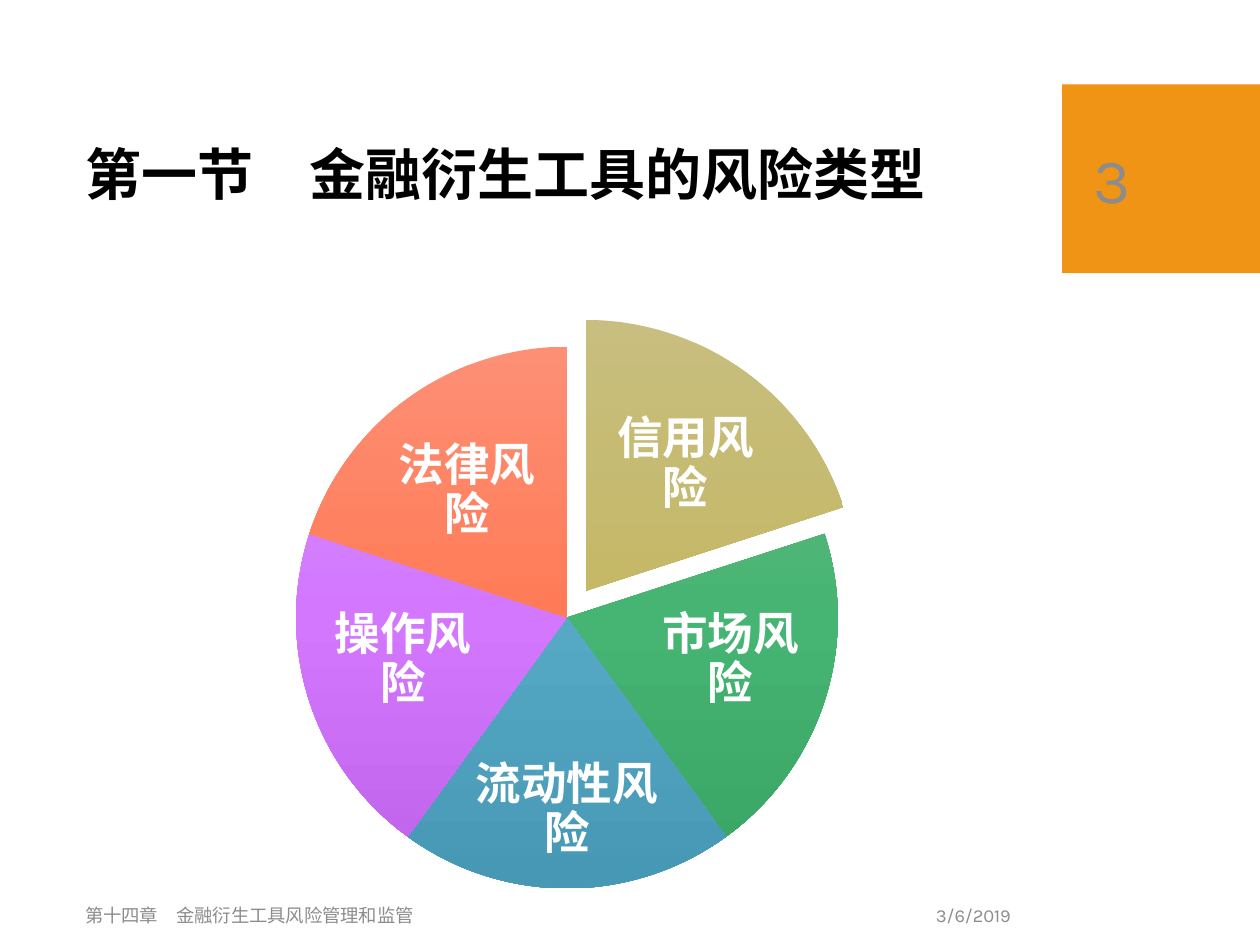
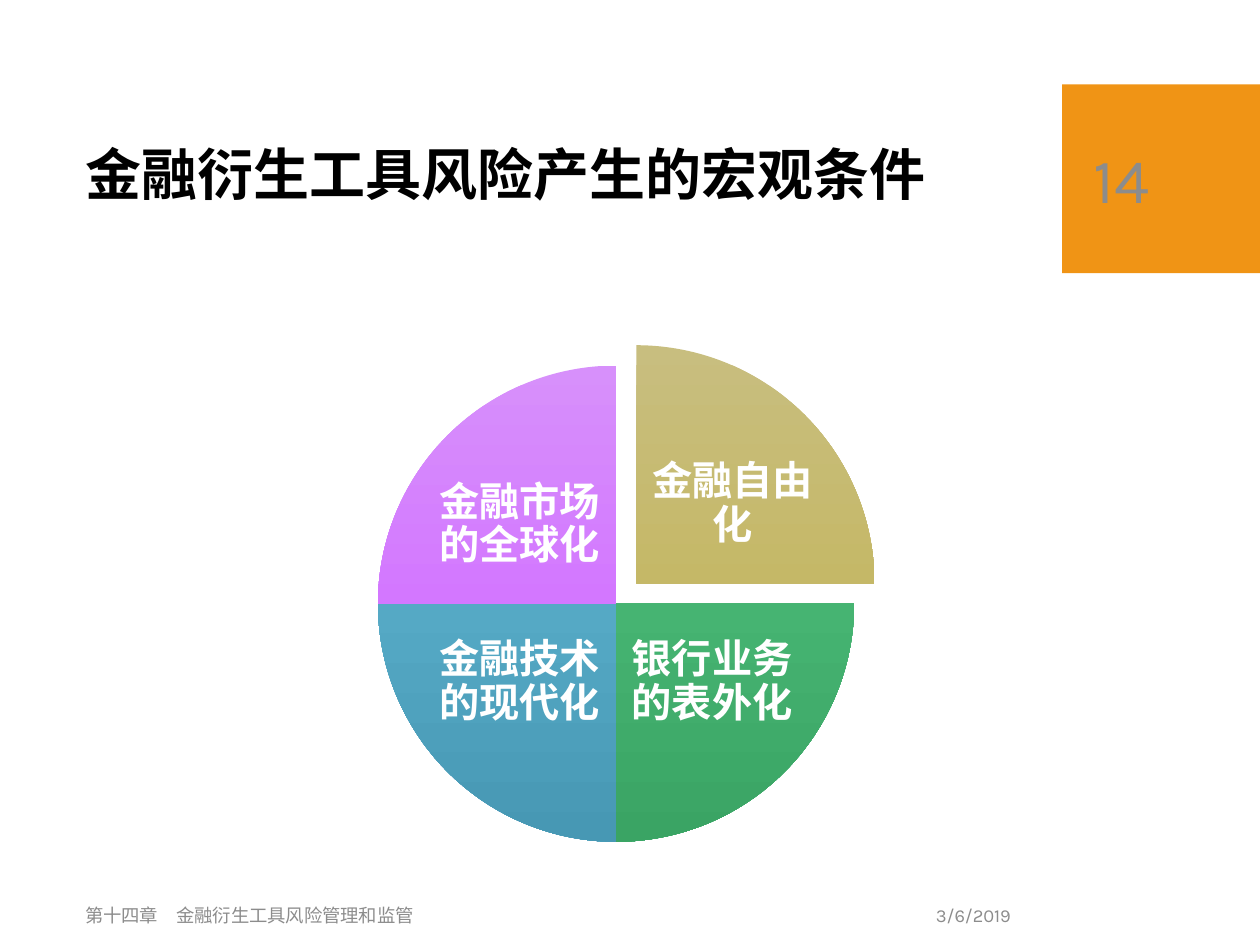
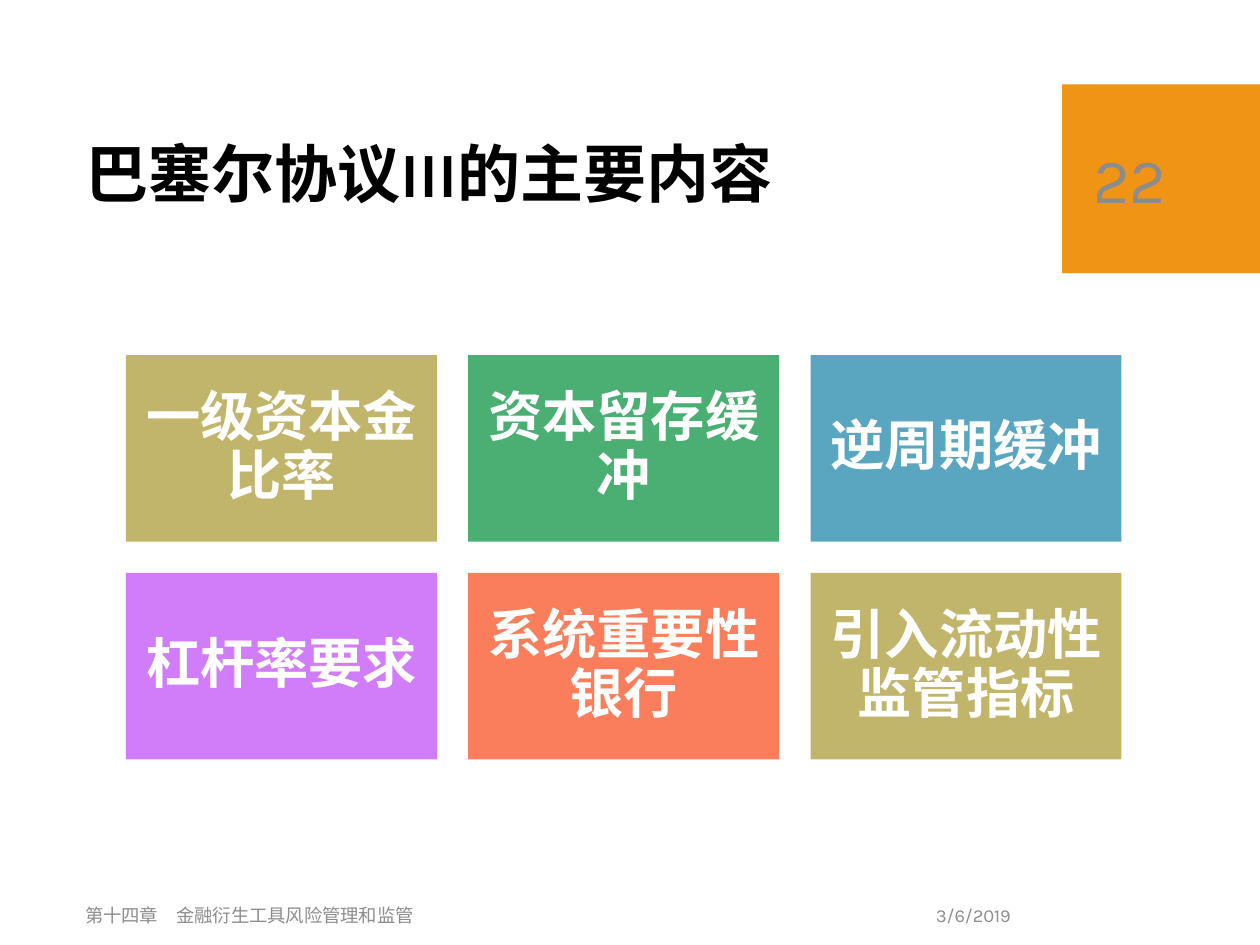
from copy import deepcopy

from pptx import Presentation
from pptx.dml.color import RGBColor
from pptx.enum.shapes import MSO_SHAPE as Shape
from pptx.enum.text import MSO_ANCHOR as Anchor, PP_ALIGN as Align
from pptx.util import Cm, Pt

FONT = "Karla"
COLORS = {"band": "F09415", "title": "000000", "label": "FFFFFF", "muted": "8C8C8C"}
CARD_COLORS = ["C1B56B", "4BAF73", "5AA6C0", "D17DF9", "FA7E5C"]
SLICE_GRADIENTS = [
    ("C8BE7F", "C5B867", "B4A756"),
    ("67B884", "46B472", "3AA464"),
    ("71B0C8", "55A9C5", "4798B4"),
    ("D790FB", "D377FF", "BE62EA"),
    ("FD8F75", "FF7B57", "EE6742"),
]
FOOTER = "第十四章　金融衍生工具风险管理和监管"
DATE = "3/6/2019"

# Pie angles are adjustment units: 216 make a full turn, 162 is twelve o'clock
FULL_TURN, TOP = 216, 162


def rgb(color):
    return RGBColor.from_string(color)


def write(shape, text, size, color, bold=False, align=Align.LEFT, spacing=None, inset=None):
    frame = shape.text_frame
    frame.word_wrap = True
    frame.vertical_anchor = Anchor.MIDDLE
    if inset is not None:
        frame.margin_left = frame.margin_right = Cm(inset)
        frame.margin_top = frame.margin_bottom = Cm(inset)
    paragraph = frame.paragraphs[0]
    paragraph.alignment = align
    paragraph.line_spacing = spacing
    run = paragraph.add_run()
    run.text = text
    run.font.name = FONT
    run.font.size = Pt(size)
    run.font.bold = bold
    run.font.color.rgb = rgb(color)


def add_text(slide, box, text, size, color, **style):
    textbox = slide.shapes.add_textbox(*map(Cm, box))
    write(textbox, text, size, color, **style)


def add_plain_shape(slide, kind, box):
    shape = slide.shapes.add_shape(kind, *map(Cm, box))
    shape.shadow.inherit = False
    shape.line.fill.background()
    return shape


def add_rectangle(slide, box, color):
    shape = add_plain_shape(slide, Shape.RECTANGLE, box)
    shape.fill.solid()
    shape.fill.fore_color.rgb = rgb(color)
    return shape


def fill_gradient(shape, colors):
    """Fill from top to bottom with evenly spaced stops."""
    fill = shape.fill
    fill.gradient()
    fill.gradient_angle = 270
    stop_list = shape._element.spPr.find(".//{*}gsLst")
    stop_list.insert(1, deepcopy(stop_list[0]))
    for index, (stop, color) in enumerate(zip(fill.gradient_stops, colors)):
        stop.position = index / (len(colors) - 1)
        stop.color.rgb = rgb(color)


def add_base_slide(presentation, title, number, title_size=32):
    """Band, title, footer, date and slide number."""
    slide = presentation.slides.add_slide(presentation.slide_layouts[6])
    add_rectangle(slide, (21.41, 1.7, 3.99, 3.81), COLORS["band"])
    add_text(slide, (1.47, 2.08, 19.15, 3), title, title_size, COLORS["title"],
             bold=True, spacing=0.9)
    add_text(slide, (14.91, 17.93, 5.72, 1.02), DATE, 10.5, COLORS["muted"], align=Align.RIGHT)
    add_text(slide, (1.47, 17.93, 13.44, 1.02), FOOTER, 10.5, COLORS["muted"])
    add_text(slide, (21.79, 2.08, 3.23, 3.02), str(number), 36, COLORS["muted"])
    return slide


def add_pie(slide, left, top, diameter, pulled, slices, size, inset):
    """Equal slices clockwise from the top; the first is pulled out.

    Each slice is its text, the label's centre from the pie's centre,
    and the label's size.
    """
    step = FULL_TURN / len(slices)
    for index, (text, (dx, dy), (width, height)) in enumerate(slices):
        shift_x, shift_y = pulled if index == 0 else (0, 0)
        x, y = left + shift_x, top + shift_y
        slice_shape = add_plain_shape(slide, Shape.PIE, (x, y, diameter, diameter))
        slice_shape.adjustments[0] = (TOP + index * step) % FULL_TURN
        slice_shape.adjustments[1] = (TOP + (index + 1) * step) % FULL_TURN
        fill_gradient(slice_shape, SLICE_GRADIENTS[index])
        label_box = (x + diameter / 2 + dx - width / 2,
                     y + diameter / 2 + dy - height / 2, width, height)
        add_text(slide, label_box, text, size, COLORS["label"], bold=True,
                 align=Align.CENTER, spacing=0.9, inset=inset)


def add_cards(slide, left, top, width, height, texts, columns=3, gap=0.63):
    rows = -(-len(texts) // columns)
    card_width = (width - gap * (columns - 1)) / columns
    card_height = (height - gap * (rows - 1)) / rows
    for index, text in enumerate(texts):
        row, column = divmod(index, columns)
        box = (left + column * (card_width + gap), top + row * (card_height + gap),
               card_width, card_height)
        card = add_rectangle(slide, box, CARD_COLORS[index % len(CARD_COLORS)])
        write(card, text, 31, COLORS["label"], bold=True, align=Align.CENTER,
              spacing=0.9, inset=0.33)


presentation = Presentation()
presentation.slide_width, presentation.slide_height = Cm(25.4), Cm(19.05)

# Risk types
upper, side, lower = (3.71, 2.54), (3.25, 2.74), (3.91, 2.34)
slide = add_base_slide(presentation, "第一节　金融衍生工具的风险类型", 3)
add_pie(slide, 5.97, 6.99, 10.92, (0.38, -0.54), [
    ("信用风险", (2.01, -2.54), upper),
    ("市场风险", (3.3, 0.86), side),
    ("流动性风险", (0, 3.89), lower),
    ("操作风险", (-3.3, 0.86), side),
    ("法律风险", (-2.01, -2.54), upper),
], size=26, inset=0.1)

# Macro conditions
label_size = (3.53, 2.84)
slide = add_base_slide(presentation, "金融衍生工具风险产生的宏观条件", 14)
add_pie(slide, 7.62, 7.37, 9.6, (0.41, -0.41), [
    ("金融自由化", (1.94, -1.59), label_size),
    ("银行业务的表外化", (1.94, 1.59), label_size),
    ("金融技术的现代化", (-1.94, 1.59), label_size),
    ("金融市场的全球化", (-1.94, -1.59), label_size),
], size=23, inset=0.08)

# Main contents of the accord
slide = add_base_slide(presentation, "巴塞尔协议III的主要内容", 22, title_size=36)
add_cards(slide, 2.54, 7.16, 20.07, 8.15, [
    "一级资本金比率", "资本留存缓冲", "逆周期缓冲",
    "杠杆率要求", "系统重要性银行", "引入流动性监管指标",
])

presentation.save("out.pptx")
